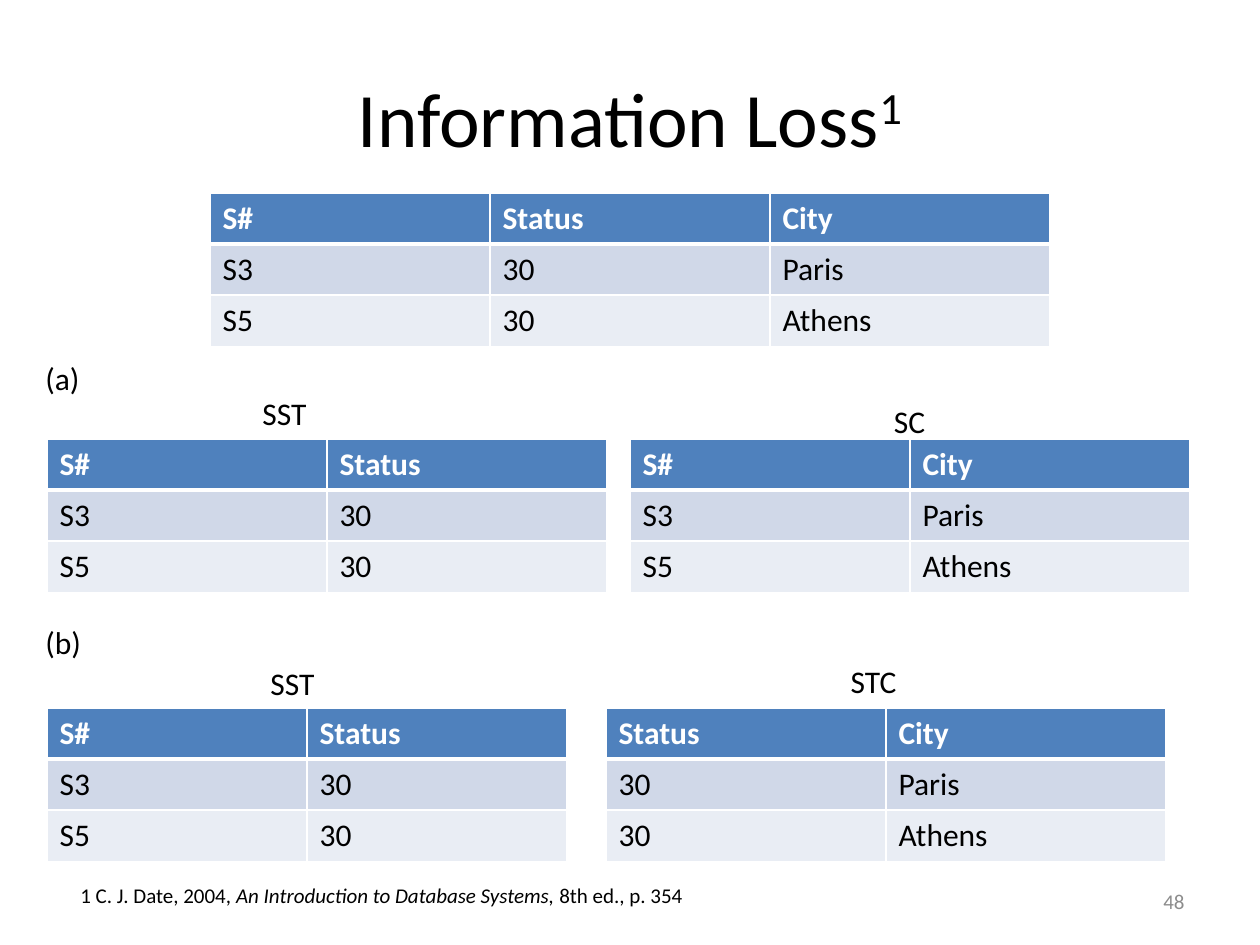
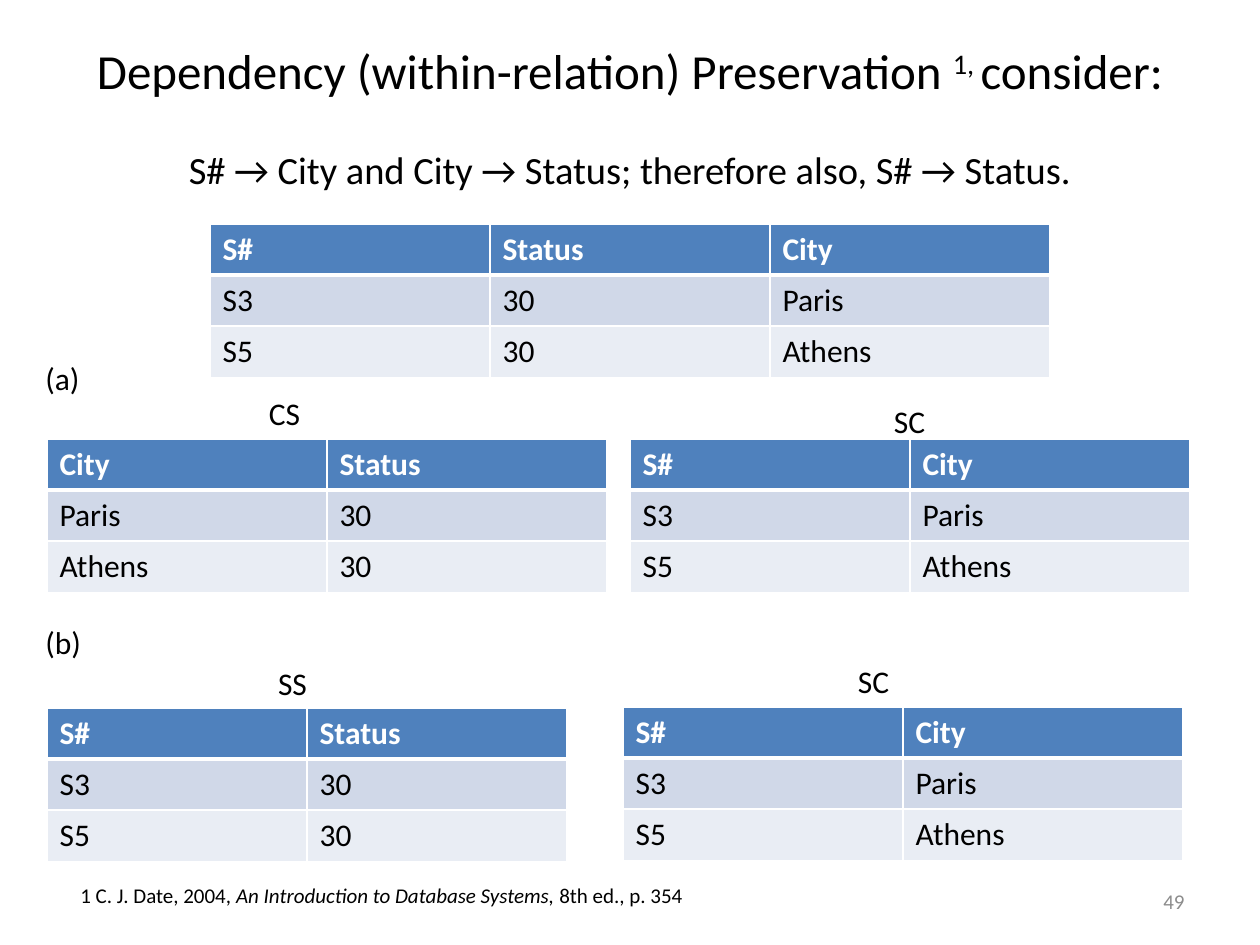
from dataclasses import dataclass
from typing import NamedTuple

from lxml import etree
from pptx import Presentation
from pptx import util as u
from pptx.dml.color import RGBColor
from pptx.enum import text as t
from pptx.oxml.ns import qn

SCALE = 914400 / 126
FONT = "Calibri"
BLACK = RGBColor(0x00, 0x00, 0x00)
WHITE = RGBColor(0xFF, 0xFF, 0xFF)
GRAY = RGBColor(0x8C, 0x8C, 0x8C)
BLUE = RGBColor(0x4F, 0x81, 0xBD)
BANDS = (RGBColor(0xD0, 0xD8, 0xE8), RGBColor(0xE9, 0xED, 0xF4))
LEFT, MID, RIGHT = t.PP_ALIGN.LEFT, t.PP_ALIGN.CENTER, t.PP_ALIGN.RIGHT

ROW = 51
WIDE, SLIM = 280, 260
TAG_W, TAG_H = 281, 50
FOOT_TOP = 876

# Every table shows some columns of this relation.
DATA = (
    {"S#": "S3", "Status": "30", "City": "Paris"},
    {"S#": "S5", "Status": "30", "City": "Athens"},
)


class Run(NamedTuple):
    words: str
    size: int
    slant: bool = False
    raised: bool = False


class Tag(NamedTuple):
    words: str
    x: int
    y: int
    align: t.PP_ALIGN = MID


class Grid(NamedTuple):
    heads: tuple[str, ...]
    x: int
    y: int
    width: int = WIDE


@dataclass
class Page:
    title: list[list[Run]]
    number: int
    grids: list[Grid]
    tags: list[Tag]


CITE = [
    Run("1 C. J. Date, 2004, ", 12),
    Run("An Introduction to Database Systems,", 12, slant=True),
    Run(" 8th ed., p. 354", 12),
]
STEPS = [Tag("(a)", 33, 353, LEFT), Tag("(b)", 33, 617, LEFT)]


def make_page(title: list[list[Run]], number: int, top: int,
              names: tuple[str, ...], pairs: tuple[tuple[str, str], ...],
              last: tuple[int, int]) -> Page:
    """Lay out the full relation at top and its two splits below; last places the final table."""
    spots = ((47, 439, WIDE), (630, 439, WIDE), (47, 708, SLIM), (*last, WIDE))
    places = ((144, 388), (769, 396), (152, 658), (733, 656))
    grids = [Grid(("S#", "Status", "City"), 210, top)]
    grids += [Grid(pair, *spot) for pair, spot in zip(pairs, spots)]
    tags = [Tag(name, *place) for name, place in zip(names, places)]
    return Page(title, number, grids, STEPS + tags)


PAGES = [
    make_page(
        [[Run("Information Loss", 44), Run("1", 44, raised=True)]],
        48, 193, ("SST", "SC", "SST", "STC"),
        (("S#", "Status"), ("S#", "City"), ("S#", "Status"), ("Status", "City")),
        (606, 708)),
    make_page(
        [[Run("Dependency (within-relation) Preservation ", 28),
          Run("1, ", 28, raised=True), Run("consider:", 28)],
         [Run("S# → City and City → Status; therefore also, S# → Status.", 22)]],
        49, 224, ("CS", "SC", "SS", "SC"),
        (("City", "Status"), ("S#", "City"), ("S#", "Status"), ("S#", "City")),
        (623, 707)),
]


def px(*sizes: int) -> list[u.Emu]:
    return [u.Emu(round(size * SCALE)) for size in sizes]


def style(font, size: int, color: RGBColor = BLACK, bold: bool = False) -> None:
    font.name, font.size, font.bold = FONT, u.Pt(size), bold
    font.color.rgb = color


def write(para, runs: list[Run], align: t.PP_ALIGN, color: RGBColor = BLACK) -> None:
    para.alignment = align
    for part in runs:
        run = para.add_run()
        run.text = part.words
        style(run.font, part.size, color)
        run.font.italic = part.slant
        if part.raised:
            run.font._element.set("baseline", "30000")


def add_title(slide, lines: list[list[Run]]) -> None:
    title = slide.shapes.title
    title.left, title.top, title.width, title.height = px(63, 38, 1134, 157)
    frame = title.text_frame
    frame.auto_size = t.MSO_AUTO_SIZE.NONE
    frame.vertical_anchor = t.MSO_ANCHOR.MIDDLE
    for i, runs in enumerate(lines):
        para = frame.add_paragraph() if i else frame.paragraphs[0]
        para.space_before = u.Pt(27 if i else 0)
        write(para, runs, MID)


def add_text(slide, box: tuple[int, int, int, int], runs: list[Run],
             align: t.PP_ALIGN = LEFT, color: RGBColor = BLACK,
             anchor: t.MSO_ANCHOR = t.MSO_ANCHOR.TOP) -> None:
    frame = slide.shapes.add_textbox(*px(*box)).text_frame
    frame.word_wrap = True
    frame.vertical_anchor = anchor
    write(frame.paragraphs[0], runs, align, color)


def add_edges(cell, row: int) -> None:
    """Draw white cell borders, thicker between the header and the first row."""
    props = cell._tc.get_or_add_tcPr()
    thick = {("B", 0), ("T", 1)}
    for i, side in enumerate("LRTB"):
        line = etree.Element(qn(f"a:ln{side}"))
        line.set("w", str(u.Pt(3 if (side, row) in thick else 1)))
        fill = etree.SubElement(line, qn("a:solidFill"))
        etree.SubElement(fill, qn("a:srgbClr")).set("val", str(WHITE))
        props.insert(i, line)


def add_grid(slide, grid: Grid) -> None:
    rows = [grid.heads] + [[item[head] for head in grid.heads] for item in DATA]
    count = len(grid.heads)
    box = px(grid.x, grid.y, grid.width * count, ROW * len(rows))
    table = slide.shapes.add_table(len(rows), count, *box).table
    for col in table.columns:
        col.width = px(grid.width)[0]
    for r, words in enumerate(rows):
        table.rows[r].height = px(ROW)[0]
        for c, word in enumerate(words):
            cell = table.cell(r, c)
            cell.fill.solid()
            cell.fill.fore_color.rgb = BANDS[(r - 1) % 2] if r else BLUE
            para = cell.text_frame.paragraphs[0]
            para.text = word
            style(para.runs[0].font, 18, BLACK if r else WHITE, bold=r == 0)
            add_edges(cell, r)


def add_page(deck, page: Page) -> None:
    slide = deck.slides.add_slide(deck.slide_layouts[5])
    add_title(slide, page.title)
    for grid in page.grids:
        add_grid(slide, grid)
    for tag in page.tags:
        add_text(slide, (tag.x, tag.y, TAG_W, TAG_H), [Run(tag.words, 18)], tag.align)
    add_text(slide, (68, FOOT_TOP, 1019, 38), CITE)
    add_text(slide, (903, FOOT_TOP, 294, 50), [Run(str(page.number), 12)],
             RIGHT, GRAY, t.MSO_ANCHOR.MIDDLE)


def main() -> None:
    deck = Presentation()
    deck.slide_width, deck.slide_height = px(1260, 945)
    for page in PAGES:
        add_page(deck, page)
    deck.save("out.pptx")


if __name__ == "__main__":
    main()
